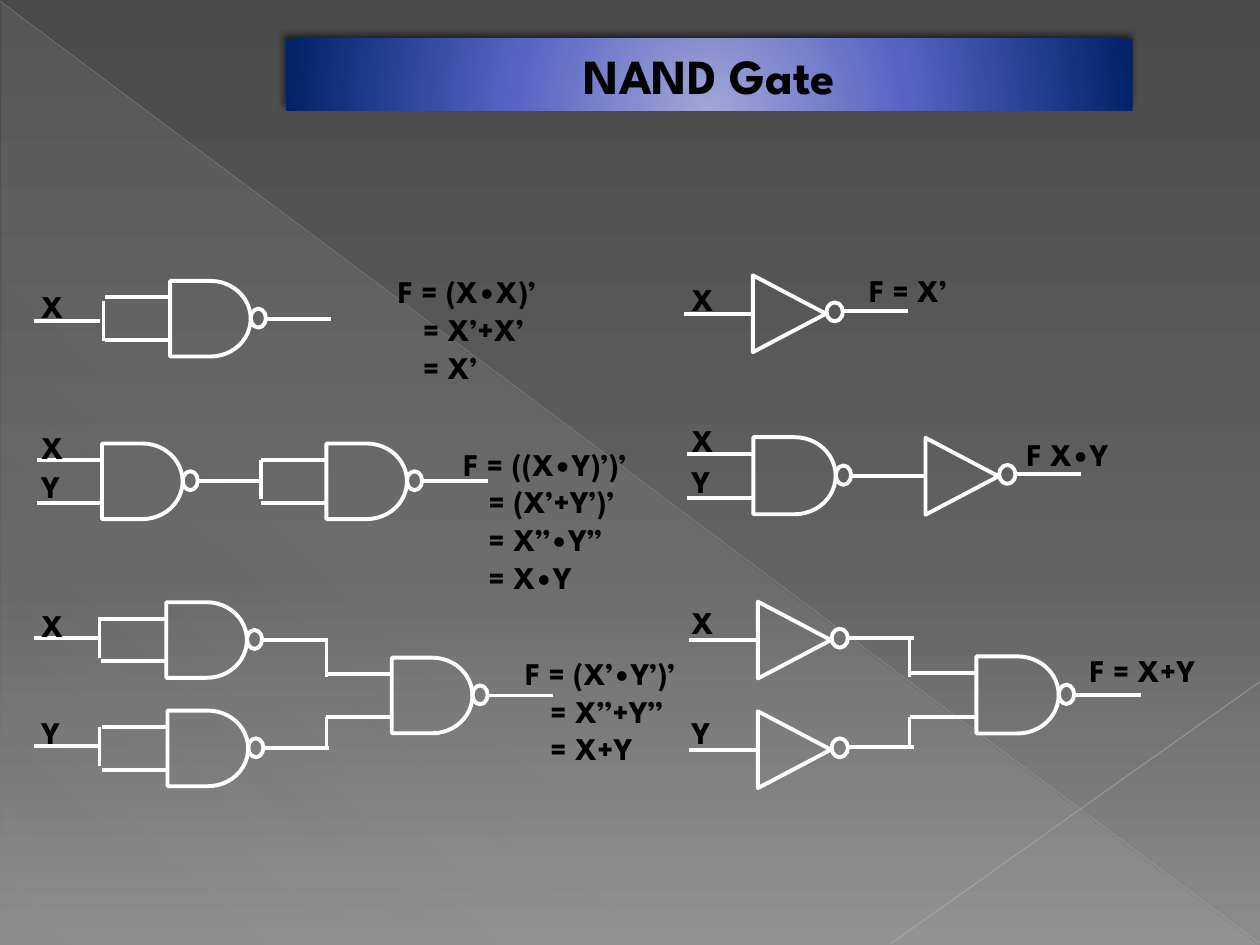
from lxml import etree
from pptx import Presentation
from pptx.dml.color import RGBColor
from pptx.enum.shapes import MSO_CONNECTOR, MSO_SHAPE
from pptx.enum.text import MSO_ANCHOR, MSO_AUTO_SIZE, PP_ALIGN
from pptx.oxml.ns import qn
from pptx.util import Inches, Pt

STRAIGHT = MSO_CONNECTOR.STRAIGHT
DELAY = MSO_SHAPE.FLOWCHART_DELAY
TRIANGLE = MSO_SHAPE.ISOSCELES_TRIANGLE
CIRCLE = MSO_SHAPE.OVAL
RECTANGLE = MSO_SHAPE.RECTANGLE
RIGHT_TRIANGLE = MSO_SHAPE.RIGHT_TRIANGLE
MIDDLE = MSO_ANCHOR.MIDDLE
GROW = MSO_AUTO_SIZE.SHAPE_TO_FIT_TEXT
CENTER = PP_ALIGN.CENTER

WHITE = RGBColor(0xFF, 0xFF, 0xFF)
BLACK = RGBColor(0x00, 0x00, 0x00)
DARK_GRAY = RGBColor(0x4A, 0x4A, 0x4A)
MID_GRAY = RGBColor(0x62, 0x62, 0x62)
SOFT_GRAY = RGBColor(0x8C, 0x8C, 0x8C)
PALE_GRAY = RGBColor(0xD2, 0xD2, 0xD2)
LONG_RAY = RGBColor(0xBF, 0xBF, 0xBF)
SHORT_RAY = RGBColor(0xC6, 0xC6, 0xC6)
LAVENDER = RGBColor(0xA1, 0xA6, 0xD6)
INDIGO = RGBColor(0x58, 0x64, 0xC4)
NAVY = RGBColor(0x00, 0x23, 0x6A)

FONT = "League Spartan"
WIRE = 2.25
JOINT = 2
LINE_HEIGHT = 0.3


def add_node(parent, tag, **attributes):
    return etree.SubElement(parent, qn(tag), attributes)


def add_color(parent, color, opacity):
    node = add_node(parent, "a:srgbClr", val=str(color))
    if opacity < 100:
        add_node(node, "a:alpha", val=str(opacity * 1000))


def paint_gradient(owner, stops, angle=None):
    owner.fill.solid()
    solid = owner_fill = None
    for owner_fill in owner_root(owner).iter(qn("a:solidFill")):
        solid = owner_fill
        break
    gradient = etree.Element(qn("a:gradFill"), rotWithShape="1")
    stop_list = add_node(gradient, "a:gsLst")
    for position, color, opacity in stops:
        stop = add_node(stop_list, "a:gs", pos=str(position * 1000))
        add_color(stop, color, opacity)
    if angle is None:
        radial = add_node(gradient, "a:path", path="circle")
        add_node(radial, "a:fillToRect", l="50000", t="155000", r="50000", b="-55000")
    else:
        add_node(gradient, "a:lin", ang=str(angle * 60000), scaled="0")
    solid.getparent().replace(solid, gradient)


def owner_root(owner):
    return owner.element if hasattr(owner, "element") else owner._cSld


def add_line(shapes, start, end, width=WIRE, color=WHITE, opacity=100):
    line = shapes.add_connector(STRAIGHT, *map(Inches, (*start, *end)))
    line.line.color.rgb = color
    line.line.width = Pt(width)
    if opacity < 100:
        color_node = next(line.element.spPr.iter(qn("a:srgbClr")))
        add_node(color_node, "a:alpha", val=str(opacity * 1000))
    add_node(line.element.spPr, "a:effectLst")


def add_outline(shapes, kind, left, top, width, height):
    shape = shapes.add_shape(kind, *map(Inches, (left, top, width, height)))
    shape.shadow.inherit = False
    shape.fill.background()
    shape.line.color.rgb = WHITE
    shape.line.width = Pt(WIRE)
    return shape


def write_span(para, text, size):
    span = para.add_run()
    span.text = text
    span.font.name = FONT
    span.font.size = Pt(size)
    span.font.bold = True
    span.font.color.rgb = BLACK


def add_text(shapes, left, top, width, lines):
    height = 0.1 + LINE_HEIGHT * len(lines)
    box = shapes.add_textbox(*map(Inches, (left, top, width, height)))
    frame = box.text_frame
    frame.word_wrap = True
    frame.auto_size = GROW
    for index, line in enumerate(lines):
        para = frame.add_paragraph() if index else frame.paragraphs[0]
        if index:
            para._p.get_or_add_pPr().set("marL", str(Inches(0.2)))
        write_span(para, line, 18)


def draw_delay_gate(shapes, left, top, scale):
    def across(distance):
        return left + distance * scale

    def down(distance):
        return top + distance * scale

    add_outline(shapes, DELAY, left, top, 0.64 * scale, 0.6 * scale)
    for offset in (0.13, 0.47):
        add_line(shapes, (across(-0.52), down(offset)), (left, down(offset)))
    add_line(shapes, (across(0.76), down(0.3)), (across(1.28), down(0.3)))
    add_outline(shapes, CIRCLE, across(0.64), down(0.22), 0.12 * scale, 0.15 * scale)


def draw_inverter(shapes, left, top):
    add_line(shapes, (left + 0.72, top + 0.27), (left + 1.25, top + 0.27))
    add_outline(shapes, CIRCLE, left + 0.6, top + 0.2, 0.13, 0.15)
    add_line(shapes, (left - 0.53, top + 0.29), (left, top + 0.29))
    add_outline(shapes, TRIANGLE, left, top, 0.61, 0.58).rotation = 90


def draw_circuits(page, left, top, scale, gates, inverters, feeds, joints, labels, formulas):
    shapes = page.shapes.add_group_shape().shapes
    for x, y in gates:
        draw_delay_gate(shapes, left + x, top + y, scale)
    for x, y in inverters:
        draw_inverter(shapes, left + x, top + y)
    for y in feeds:
        add_line(shapes, (left + 0.04, top + y), (left + 0.56, top + y))
    for x, start, end in joints:
        add_line(shapes, (left + x, top + start), (left + x, top + end), JOINT)
    for name, y in labels:
        add_text(shapes, left, top + y, 0.43, [name])
    for x, y, width, lines in formulas:
        add_text(shapes, left + x, top + y, width, lines)


def draw_backdrop(page, width, height):
    paint_gradient(page.background,
                   [(0, DARK_GRAY, 100), (60, MID_GRAY, 100), (100, SOFT_GRAY, 100)], 90)
    corner = page.shapes.add_shape(RIGHT_TRIANGLE, Inches(0.01), Inches(0.02),
                                   Inches(width - 0.02), Inches(height - 0.02))
    paint_gradient(corner, [(0, PALE_GRAY, 10), (70, PALE_GRAY, 8), (100, PALE_GRAY, 1)], 133)
    corner.line.fill.background()
    corner.shadow.inherit = False
    add_line(page.shapes, (0, 0.01), (width, height - 0.01), 0.39, LONG_RAY, 35)
    add_line(page.shapes, (width, 5.41), (7.07, height - 0.01), 0.47, SHORT_RAY, 45)


def draw_title(page, left, top, width, height):
    banner = page.shapes.add_shape(RECTANGLE, *map(Inches, (left, top, width, height)))
    paint_gradient(banner, [(0, LAVENDER, 100), (46, INDIGO, 100), (100, NAVY, 100)])
    banner.line.fill.background()
    effects = add_node(banner.element.spPr, "a:effectLst")
    shadow = add_node(effects, "a:outerShdw", blurRad=str(Pt(4)), dist=str(Pt(3)),
                      dir=str(245 * 60000), rotWithShape="0")
    add_color(shadow, BLACK, 60)
    frame = banner.text_frame
    frame.word_wrap = True
    frame.auto_size = GROW
    frame.vertical_anchor = MIDDLE
    para = frame.paragraphs[0]
    para.alignment = CENTER
    write_span(para, "NAND Gate", 28)


def main():
    deck = Presentation()
    deck.slide_width, deck.slide_height = Inches(10), Inches(7.5)
    page = deck.slides.add_slide(deck.slide_layouts[6])
    draw_backdrop(page, 10, 7.5)
    draw_title(page, 2.27, 0.31, 6.72, 0.57)
    draw_circuits(
        page, 0.23, 2, 1,
        gates=[(1.12, 0.23), (0.58, 1.52), (2.36, 1.52), (1.09, 2.78), (1.1, 3.64), (2.88, 3.22)],
        inverters=[],
        feeds=[0.55, 3.06, 3.92],
        joints=[(0.59, 0.39, 0.71), (1.84, 1.65, 1.96), (0.56, 2.9, 3.22),
                (0.56, 3.77, 4.08), (2.36, 3.06, 3.37), (2.36, 3.69, 3.92)],
        labels=[("X", 0.23), ("X", 1.35), ("Y", 1.66), ("X", 2.76), ("Y", 3.61)],
        formulas=[(2.83, 0.11, 2.44, ["F = (X•X)’", "= X’+X’", "= X’"]),
                  (3.35, 1.48, 2.78, ["F = ((X•Y)’)’", "= (X’+Y’)’", "= X’’•Y’’", "= X•Y"]),
                  (3.84, 3.14, 2.77, ["F = (X’•Y’)’", "= X’’+Y’’", "= X+Y"])])
    draw_circuits(
        page, 5.39, 2, 1.02,
        gates=[(0.59, 1.47), (2.36, 3.21)],
        inverters=[(0.57, 0.2), (1.94, 1.49), (0.61, 2.79), (0.61, 3.66)],
        feeds=[],
        joints=[(1.83, 3.05, 3.37), (1.83, 3.69, 3.93)],
        labels=[("X", 0.17), ("X", 1.29), ("Y", 1.62), ("X", 2.74), ("Y", 3.61)],
        formulas=[(1.41, 0.1, 2.48, ["F = X’"]), (2.66, 1.4, 0.91, ["F X•Y"]),
                  (3.16, 3.12, 1.25, ["F = X+Y"])])
    deck.save("out.pptx")


if __name__ == "__main__":
    main()
